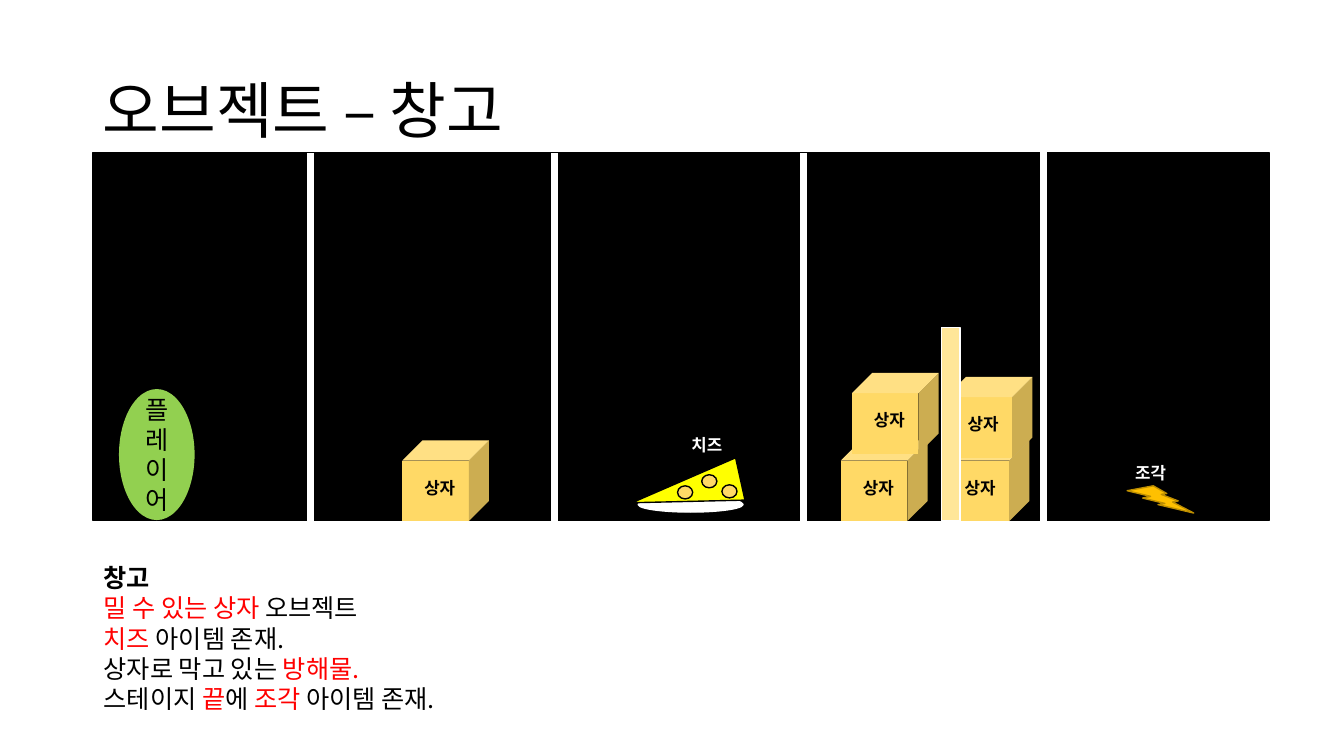
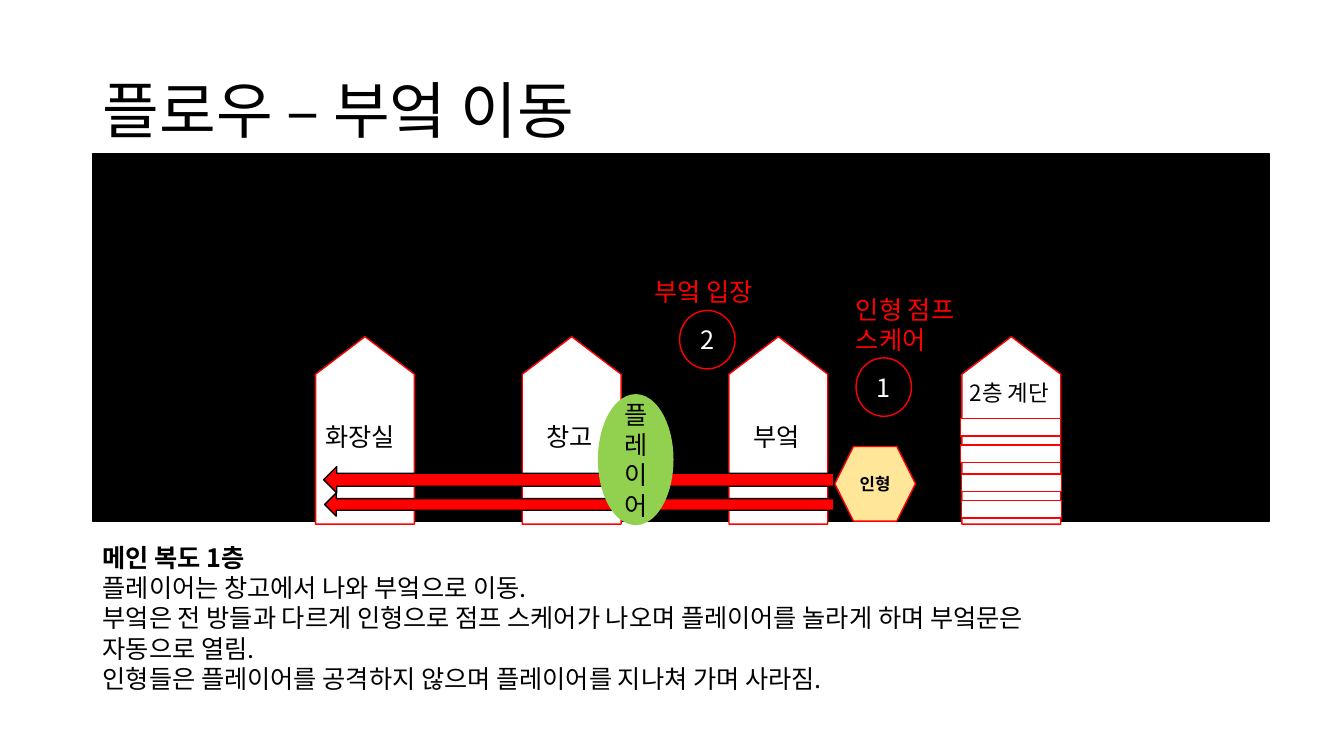
from lxml import etree
from pptx import Presentation
from pptx.dml.color import RGBColor
from pptx.enum.shapes import MSO_CONNECTOR, MSO_SHAPE
from pptx.enum.text import MSO_ANCHOR, PP_ALIGN
from pptx.oxml.ns import qn
from pptx.util import Inches, Pt

RECT, OVAL, CUBE = MSO_SHAPE.RECTANGLE, MSO_SHAPE.OVAL, MSO_SHAPE.CUBE
BOLT, WEDGE = MSO_SHAPE.LIGHTNING_BOLT, MSO_SHAPE.FLOWCHART_MERGE
DOOR, STEPS = MSO_SHAPE.FLOWCHART_OFFPAGE_CONNECTOR, MSO_SHAPE.MATH_EQUAL
HEXAGON, ARROW = MSO_SHAPE.HEXAGON, MSO_SHAPE.LEFT_ARROW
STRAIGHT = MSO_CONNECTOR.STRAIGHT
TOP, MIDDLE = MSO_ANCHOR.TOP, MSO_ANCHOR.MIDDLE
LEFT, CENTER = PP_ALIGN.LEFT, PP_ALIGN.CENTER

# Shared style
FONT = "Noto Sans CJK KR"
BLACK, WHITE, RED = "000000", "FFFFFF", "FF0000"
GREEN, CHEESE, GOLD, GOLD_EDGE = "92D050", "FFFF00", "FFC000", "BD8E00"
WOOD, PALE_WOOD = "FFD966", "FFE699"
STAGE_LEFT, STAGE_WIDTH, STAGE_HEIGHT = 0.92, 11.67, 3.64

# Content: each description line is a list of (text, colour) runs
STORAGE_TITLE = "오브젝트 – 창고"
STORAGE_NOTES = [
    [("창고", BLACK)],
    [("밀 수 있는 상자 ", RED), ("오브젝트", BLACK)],
    [("치즈", RED), (" 아이템 존재.", BLACK)],
    [("상자로 막고 있는 ", BLACK), ("방해물.", RED)],
    [("스테이지 ", BLACK), ("끝", RED), ("에 ", BLACK), ("조각", RED),
     (" 아이템 존재.", BLACK)],
]
DIVIDERS = [(3.08, 1.52), (5.5, 1.52), (7.97, 1.52), (10.35, 1.43)]
CRATES = [(3.99, 4.37), (8.34, 4.37), (8.45, 3.7), (9.35, 4.37), (9.38, 3.74)]
CHEESE_HOLES = [(6.96, 4.71), (6.72, 4.82), (7.16, 4.81)]

FLOW_TITLE = "플로우 – 부엌 이동"
FLOW_NOTES = [[(line, BLACK)] for line in (
    "메인 복도 1층",
    "플레이어는 창고에서 나와 부엌으로 이동.",
    "부엌은 전 방들과 다르게 인형으로 점프 스케어가 나오며 플레이어를 놀라게 하며 부엌문은",
    "자동으로 열림.",
    "인형들은 플레이어를 공격하지 않으며 플레이어를 지나쳐 가며 사라짐.",
)]
DOOR_LEFTS = [3.13, 5.18, 7.23, 9.54]
STAIR_STEPS = [(9.36, 4.55), (9.35, 4)]
DOOR_LABELS = [  # text, left, top, width, size
    ("화장실", 3.13, 4.13, 0.98, 18),
    ("창고", 5.32, 4.13, 0.98, 18),
    ("부엌", 7.37, 4.13, 0.98, 18),
    ("2층 계단", 9.52, 3.71, 1.11, 16),
]
DOLL_PATHS = [(3.21, 4.63, 5.06, 0.26), (3.22, 4.89, 5.05, 0.23)]
EVENTS = [  # number, marker left and top, caption lines, caption box
    ("1", 8.49, 3.55, ["인형 점프", "스케어"], (8.39, 2.87, 1.35, 0.71)),
    ("2", 6.74, 3.08, ["부엌 입장"], (6.39, 2.69, 1.81, 0.4)),
]


def color(value):
    return RGBColor.from_string(value)


def box(values):
    return [Inches(value) for value in values]


def write(shape, lines, size, bold=False, align=LEFT, anchor=TOP):
    """Fill a shape with lines of (text, colour) runs."""
    frame = shape.text_frame
    frame.word_wrap = True
    frame.vertical_anchor = anchor
    for index, runs in enumerate(lines):
        paragraph = frame.paragraphs[0] if index == 0 else frame.add_paragraph()
        paragraph.alignment = align
        for text, tone in runs:
            run = paragraph.add_run()
            run.text = text
            run.font.size = Pt(size)
            run.font.bold = bold
            run.font.name = FONT
            run.font.color.rgb = color(tone)
            east_asian = etree.SubElement(run.font._element, qn("a:ea"))
            east_asian.set("typeface", FONT)


def add_text(shapes, area, lines, size, **style):
    text_box = shapes.add_textbox(*box(area))
    write(text_box, lines, size, **style)
    return text_box


def add_figure(shapes, kind, area, fill=None, line=None, rotation=0):
    shape = shapes.add_shape(kind, *box(area))
    shape.shadow.inherit = False
    shape.rotation = rotation
    if fill:
        shape.fill.solid()
        shape.fill.fore_color.rgb = color(fill)
    else:
        shape.fill.background()
    if line:
        shape.line.color.rgb = color(line)
        shape.line.width = Pt(1)
    else:
        shape.line.fill.background()
    return shape


def add_divider(shapes, x, top):
    line = shapes.add_connector(STRAIGHT, *box((x, top, x, top + 3.82)))
    line.line.color.rgb = color(WHITE)
    line.line.width = Pt(4.5)
    etree.SubElement(line._element.spPr, qn("a:effectLst"))


def add_crate(shapes, left, top):
    crate = shapes.add_group_shape().shapes
    add_figure(crate, CUBE, (left, top, 0.86, 0.8), WOOD)
    add_text(crate, (left + 0.12, top + 0.32, 0.63, 0.3),
             [[("상자", BLACK)]], 12, bold=True)


def add_player(shapes, left, top):
    player = add_figure(shapes, OVAL, (left, top, 0.75, 1.3), GREEN)
    write(player, [[("플레이어", BLACK)]], 18, align=CENTER, anchor=MIDDLE)


def add_scene(presentation, title, stage_top, notes, notes_area):
    """Add a slide with its title, black stage and description."""
    shapes = presentation.slides.add_slide(presentation.slide_layouts[6]).shapes
    heading = add_text(shapes, (0.92, 0.4, 11.5, 1.45), [[(title, BLACK)]], 44,
                       anchor=MIDDLE)
    heading.text_frame.paragraphs[0].line_spacing = 0.9
    add_figure(shapes, RECT, (STAGE_LEFT, stage_top, STAGE_WIDTH, STAGE_HEIGHT),
               BLACK, BLACK)
    description = add_text(shapes, notes_area, notes, 18)
    for run in description.text_frame.paragraphs[0].runs:
        run.font.bold = True
    return shapes


def build_storage(presentation):
    shapes = add_scene(presentation, STORAGE_TITLE, 1.52, STORAGE_NOTES,
                       (0.93, 5.53, STAGE_WIDTH, 1.62))
    add_player(shapes, 1.18, 3.86)
    for x, top in DIVIDERS:
        add_divider(shapes, x, top)

    # Fragment item
    add_figure(shapes, BOLT, (11.18, 4.82, 0.66, 0.27), GOLD, GOLD_EDGE)
    add_text(shapes, (11.16, 4.54, 1.69, 0.3), [[("조각", WHITE)]], 12, bold=True)

    # Cheese on its plate
    add_figure(shapes, OVAL, (6.33, 4.93, 1.04, 0.15), WHITE, WHITE)
    add_figure(shapes, WEDGE, (6.59, 4.32, 0.43, 1.1), CHEESE, BLACK, 77.6)
    for left, top in CHEESE_HOLES:
        add_figure(shapes, OVAL, (left, top, 0.15, 0.13), WOOD, BLACK)
    add_text(shapes, (6.76, 4.26, 0.63, 0.3), [[("치즈", WHITE)]], 12, bold=True)

    # Crates and the wall in front of them
    for left, top in CRATES:
        add_crate(shapes, left, top)
    add_figure(shapes, RECT, (9.34, 3.25, 0.18, 1.92), PALE_WOOD, WHITE)


def build_flow(presentation):
    shapes = add_scene(presentation, FLOW_TITLE, 1.53, FLOW_NOTES,
                       (0.92, 5.33, STAGE_WIDTH, 1.62))
    # Doors and stairs
    for left in DOOR_LEFTS:
        add_figure(shapes, DOOR, (left, 3.34, 0.98, 1.86), WHITE, RED, 180)
    for left, top in STAIR_STEPS:
        add_figure(shapes, STEPS, (left, top, 1.35, 0.74), WHITE, RED)
    for text, left, top, width, size in DOOR_LABELS:
        add_text(shapes, (left, top, width, 0.4), [[(text, BLACK)]], size)

    # Doll and its way past the player
    doll = add_figure(shapes, HEXAGON, (8.28, 4.43, 0.8, 0.74), PALE_WOOD, RED)
    write(doll, [[("인형", BLACK)]], 12, bold=True, align=CENTER, anchor=MIDDLE)
    for area in DOLL_PATHS:
        add_figure(shapes, ARROW, area, RED, BLACK)
    add_player(shapes, 5.93, 3.91)

    # Numbered events
    for number, left, top, caption, area in EVENTS:
        marker = add_figure(shapes, OVAL, (left, top, 0.55, 0.58), line=RED)
        write(marker, [[(number, WHITE)]], 18, align=CENTER, anchor=MIDDLE)
        add_text(shapes, area, [[(line, RED)] for line in caption], 18)


def main():
    presentation = Presentation()
    presentation.slide_width = Inches(13.33)
    presentation.slide_height = Inches(7.5)
    build_storage(presentation)
    build_flow(presentation)
    presentation.save("out.pptx")


if __name__ == "__main__":
    main()
